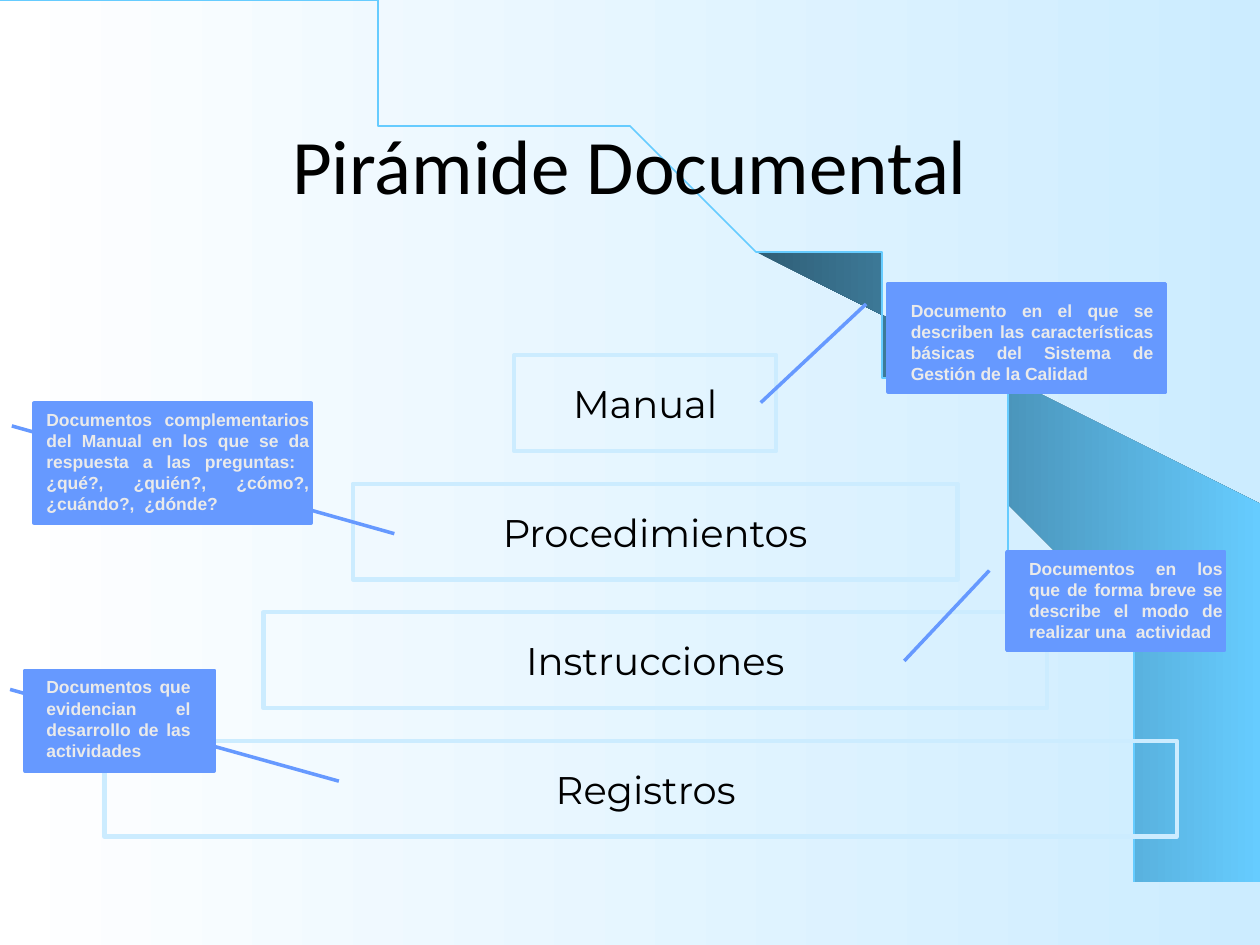
from math import cos, pi, sin

from pptx import Presentation
from pptx.dml.color import RGBColor
from pptx.enum.shapes import MSO_SHAPE
from pptx.enum.text import MSO_ANCHOR, PP_ALIGN
from pptx.util import Inches, Pt


def paint(color_format, color):
    color_format.rgb = RGBColor.from_string(color)


def write(shape, text, font_name, size, color, alignment, anchor, bold=False):
    frame = shape.text_frame
    frame.word_wrap = True
    frame.vertical_anchor = anchor
    paragraph = frame.paragraphs[0]
    paragraph.text = text
    paragraph.alignment = alignment
    paragraph.font.name = font_name
    paragraph.font.size = Pt(size)
    paragraph.font.bold = bold
    paint(paragraph.font.color, color)


presentation = Presentation()
presentation.slide_width = Inches(10)
presentation.slide_height = Inches(7.5)
slide = presentation.slides.add_slide(presentation.slide_layouts[6])
shapes = slide.shapes

# Background and the shaded band that follows the arc
band_points = [
    (9.2, 7.48), (9.99, 7.49), (9.99, 4.23), (5.89, 1.73), (6.24, 1.99), (6.53, 2.22),
    (6.85, 2.5), (7.16, 2.8), (7.62, 3.3), (8.03, 3.84), (8.32, 4.31), (8.58, 4.79),
    (8.78, 5.28), (8.93, 5.72), (9.03, 6.09), (9.13, 6.56), (9.17, 6.96),
]
builder = shapes.build_freeform(*band_points[0], scale=Inches(1))
builder.add_line_segments(band_points[1:], close=True)
band = builder.convert_to_shape()
band.shadow.inherit = False
band.line.fill.background()

for fill, colors in (
    (slide.background.fill, ("FFFFFF", "CCECFF")),
    (band.fill, ("2F5E76", "66CCFF")),
):
    fill.gradient()
    fill.gradient_angle = 0
    for stop, color in zip(fill.gradient_stops, colors):
        paint(stop.color, color)

# Quarter ellipse from the top left corner to the bottom right
arc_width, arc_height, arc_steps = 9.2, 7.49, 90
arc_points = []
for step in range(1, arc_steps + 1):
    angle = pi / 2 * step / arc_steps
    arc_points.append((arc_width * sin(angle), arc_height * (1 - cos(angle))))
builder = shapes.build_freeform(0, 0, scale=Inches(1))
builder.add_line_segments(arc_points, close=False)
arc = builder.convert_to_shape()
arc.shadow.inherit = False
arc.fill.background()
arc.line.width = Pt(1)
paint(arc.line.color, "66CCFF")

# Pyramid levels: left, width, label
levels = [
    (4.08, 2.08, "Manual"),
    (2.8, 4.8, "Procedimientos"),
    (2.09, 6.22, "Instrucciones"),
    (0.83, 8.51, " Registros"),
]
for row, (left, width, label) in enumerate(levels):
    level = shapes.add_shape(
        MSO_SHAPE.RECTANGLE,
        Inches(left), Inches(2.82 + row * 1.02), Inches(width), Inches(0.76),
    )
    level.shadow.inherit = False
    level.fill.background()
    level.line.width = Pt(2.5)
    paint(level.line.color, "CCECFF")
    frame = level.text_frame
    frame.margin_left = frame.margin_right = Inches(0.2)
    frame.margin_top = frame.margin_bottom = Inches(0.2)
    write(level, label, "Montserrat", 22, "000000", PP_ALIGN.CENTER, MSO_ANCHOR.MIDDLE)

# Callouts: box, pointer end (y, x as shares of the box), text box, text
callouts = [
    ((7.05, 2.25, 2.2, 0.86), (1.1, -0.46), (7.13, 2.33, 2.12, 0.77),
     "Documento en el que se describen las características básicas del "
     "Sistema de Gestión de la Calidad"),
    ((0.27, 3.2, 2.2, 0.95), (1.09, 1.3), (0.27, 3.2, 2.28, 0.94),
     "Documentos complementarios del Manual en los que se da respuesta a las "
     "preguntas:  ¿qué?, ¿quién?, ¿cómo?, ¿cuándo?,  ¿dónde?"),
    ((7.99, 4.38, 1.73, 0.78), (1.11, -0.47), (8.07, 4.38, 1.73, 0.77),
     "Documentos en los que de forma breve se describe el modo de realizar "
     "una  actividad"),
    ((0.2, 5.32, 1.5, 0.8), (1.1, 1.66), (0.27, 5.32, 1.34, 0.77),
     "Documentos que evidencian el desarrollo de las actividades"),
]
for box, pointer_end, text_area, text in callouts:
    callout = shapes.add_shape(MSO_SHAPE.LINE_CALLOUT_1, *map(Inches, box))
    for index, share in enumerate((0.19, -0.08, *pointer_end)):
        callout.adjustments[index] = share
    callout.shadow.inherit = False
    callout.fill.solid()
    paint(callout.fill.fore_color, "6699FF")
    callout.line.width = Pt(2)
    paint(callout.line.color, "6699FF")
    text_box = shapes.add_textbox(*map(Inches, text_area))
    write(text_box, text, "Arial", 10, "EAEAEA", PP_ALIGN.JUSTIFY, MSO_ANCHOR.TOP, bold=True)

title = shapes.add_textbox(Inches(0.75), Inches(0.67), Inches(8.5), Inches(1.25))
write(title, "Pirámide Documental", "Calibri", 44, "000000", PP_ALIGN.CENTER, MSO_ANCHOR.MIDDLE)

presentation.save("out.pptx")
